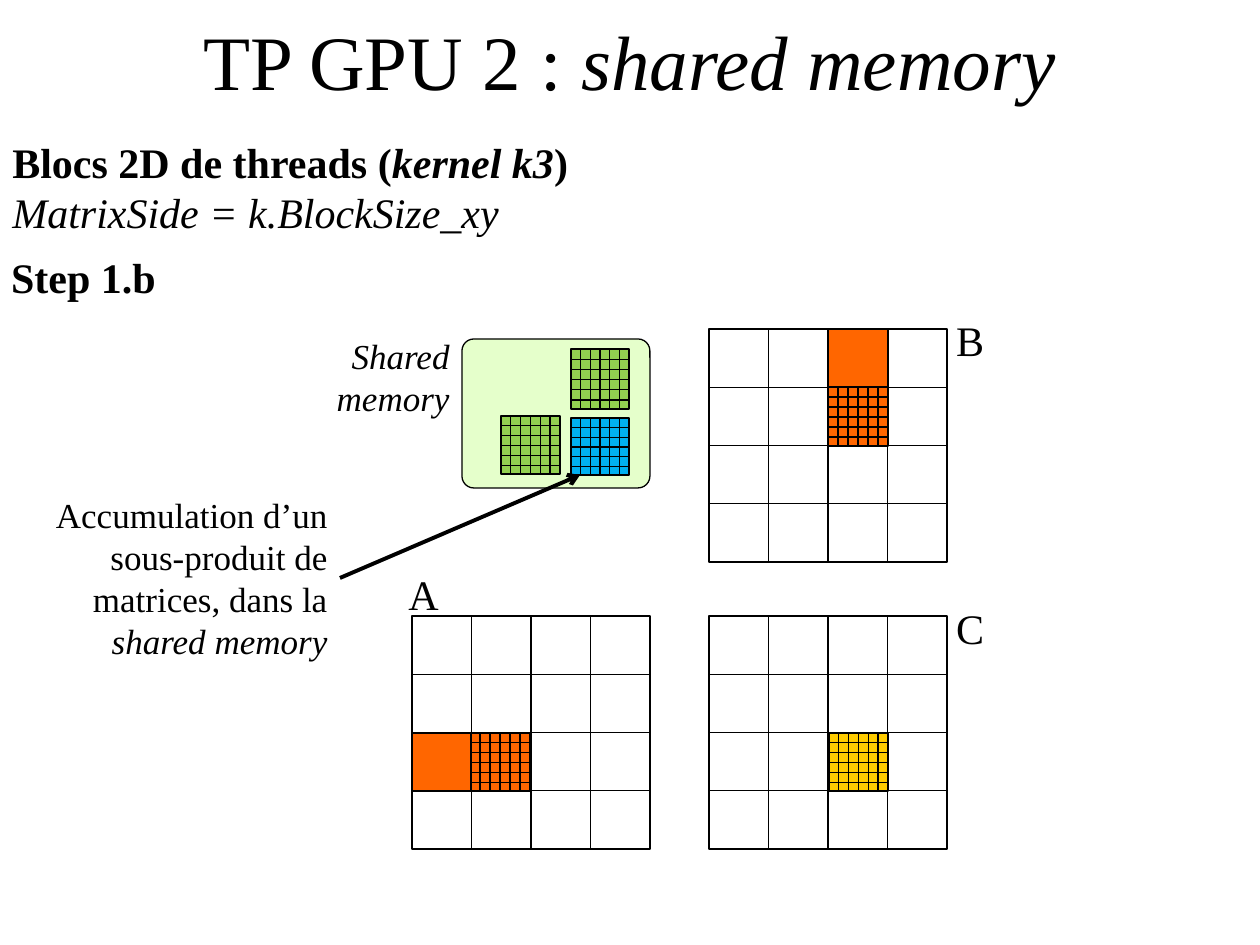
from dataclasses import dataclass

from lxml import etree
from pptx import Presentation
from pptx.dml.color import RGBColor
from pptx.enum.shapes import MSO_CONNECTOR, MSO_SHAPE
from pptx.enum.text import MSO_ANCHOR, PP_ALIGN
from pptx.oxml.ns import qn
from pptx.util import Emu, Inches, Pt

PX_PER_INCH = 126
FONT = "Times New Roman"
RECTANGLE = MSO_SHAPE.RECTANGLE
ROUNDED = MSO_SHAPE.ROUNDED_RECTANGLE
STRAIGHT = MSO_CONNECTOR.STRAIGHT
LEFT, CENTER, RIGHT = PP_ALIGN.LEFT, PP_ALIGN.CENTER, PP_ALIGN.RIGHT
TOP, MIDDLE = MSO_ANCHOR.TOP, MSO_ANCHOR.MIDDLE
COLORS = {
    "black": "000000",
    "white": "FFFFFF",
    "shared": "CCFF99",
    "operand": "92D050",
    "product": "00B0F0",
    "source": "FF6600",
    "result": "FFCC00",
}


@dataclass(frozen=True)
class Box:
    left: int
    top: int
    width: int
    height: int


@dataclass(frozen=True)
class Grid:
    box: Box
    color: str
    cells: int
    row_share: float  # row height as a share of the grid height


@dataclass(frozen=True)
class Run:
    text: str
    bold: bool = False
    italic: bool = False


def px(value: float) -> Emu:
    return Emu(round(value * Inches(1) / PX_PER_INCH))


def rgb(name: str) -> RGBColor:
    return RGBColor.from_string(COLORS[name])


def add_block(shapes, box: Box, color: str, kind=RECTANGLE):
    shape = shapes.add_shape(kind, px(box.left), px(box.top), px(box.width), px(box.height))
    shape.shadow.inherit = False
    shape.fill.solid()
    shape.fill.fore_color.rgb = rgb(color)
    shape.line.color.rgb = rgb("black")
    shape.line.width = Pt(0.75)
    return shape


def add_line(shapes, start: tuple, end: tuple, width: float = 0.75):
    line = shapes.add_connector(STRAIGHT, *map(px, start + end))
    line.line.color.rgb = rgb("black")
    line.line.width = Pt(width)
    etree.SubElement(line._element.spPr, qn("a:effectLst"))
    return line


def add_grid(slide, grid: Grid) -> None:
    shapes = slide.shapes.add_group_shape().shapes
    box = grid.box
    right, bottom = box.left + box.width, box.top + box.height
    add_block(shapes, box, grid.color)
    for index in range(1, grid.cells):
        x = box.left + index * box.width / grid.cells
        y = box.top + index * box.height * grid.row_share
        add_line(shapes, (x, box.top), (x, bottom))
        add_line(shapes, (box.left, y), (right, y))


def matrix(left: int, top: int) -> Grid:
    return Grid(Box(left, top, 238, 233), "white", 4, 0.25)


def tile(left: int, top: int, width: int, height: int, color: str) -> Grid:
    """A block of threads, whose last row is cut slightly short."""
    return Grid(Box(left, top, width, height), color, 6, 0.17)


def add_text(slide, box: Box, paragraphs: list, *, size: int, align=LEFT,
             anchor=TOP, wrap: bool = True) -> None:
    shape = slide.shapes.add_textbox(px(box.left), px(box.top), px(box.width), px(box.height))
    frame = shape.text_frame
    frame.word_wrap = wrap
    frame.vertical_anchor = anchor
    for index, runs in enumerate(paragraphs):
        paragraph = frame.add_paragraph() if index else frame.paragraphs[0]
        paragraph.alignment = align
        for item in runs:
            run = paragraph.add_run()
            run.text = item.text
            run.font.name = FONT
            run.font.size = Pt(size)
            run.font.bold = item.bold
            run.font.italic = item.italic
            run.font.color.rgb = rgb("black")


MATRICES = [matrix(709, 616), matrix(709, 329), matrix(412, 616)]
TILES = [
    tile(829, 733, 59, 58, "result"),
    tile(501, 416, 59, 58, "operand"),
    tile(571, 349, 58, 60, "operand"),
    tile(571, 418, 58, 57, "product"),
    tile(470, 733, 60, 58, "source"),
    tile(828, 387, 60, 59, "source"),
]
USED_BLOCKS = [Box(412, 733, 59, 58), Box(828, 329, 60, 58)]
MATRIX_NAMES = {
    "A": Box(395, 562, 57, 63),
    "B": Box(943, 308, 54, 63),
    "C": Box(943, 596, 54, 63),
}


def main() -> None:
    presentation = Presentation()
    presentation.slide_width, presentation.slide_height = Inches(10), Inches(7.5)
    slide = presentation.slides.add_slide(presentation.slide_layouts[6])

    shared_memory = add_block(slide.shapes, Box(462, 339, 188, 149), "shared", ROUNDED)
    shared_memory.adjustments[0] = 0.08
    fill_color = shared_memory._element.spPr.find(qn("a:solidFill"))[0]
    etree.SubElement(fill_color, qn("a:alpha"), val="50000")

    for grid in MATRICES + TILES:
        add_grid(slide, grid)
    for box in USED_BLOCKS:
        add_block(slide.shapes, box, "source")

    arrow = add_line(slide.shapes, (340, 578), (580, 475), 2.25)
    etree.SubElement(arrow.line._get_or_add_ln(), qn("a:tailEnd"), type="arrow")

    for name, box in MATRIX_NAMES.items():
        add_text(slide, box, [[Run(name)]], size=24, align=CENTER, wrap=False)
    add_text(slide, Box(320, 328, 142, 97),
             [[Run("Shared", italic=True)], [Run("memory", italic=True)]],
             size=20, align=RIGHT, wrap=False)
    add_text(slide, Box(25, 487, 315, 183),
             [[Run("Accumulation d’un sous-produit de matrices, dans la "),
               Run("shared memory", italic=True)]],
             size=20, align=RIGHT)
    add_text(slide, Box(94, 4, 1071, 112),
             [[Run("TP GPU 2 : "), Run("shared memory", italic=True)]],
             size=44, align=CENTER, anchor=MIDDLE)
    add_text(slide, Box(-2, 245, 171, 63), [[Run("Step 1.b", bold=True)]],
             size=24, align=CENTER, wrap=False)
    add_text(slide, Box(0, 130, 630, 115),
             [[Run("Blocs 2D de threads (", bold=True),
               Run("kernel k3", bold=True, italic=True),
               Run(")", bold=True)],
              [Run("MatrixSide = k.BlockSize_xy", italic=True)]],
             size=24)

    presentation.save("out.pptx")


if __name__ == "__main__":
    main()
